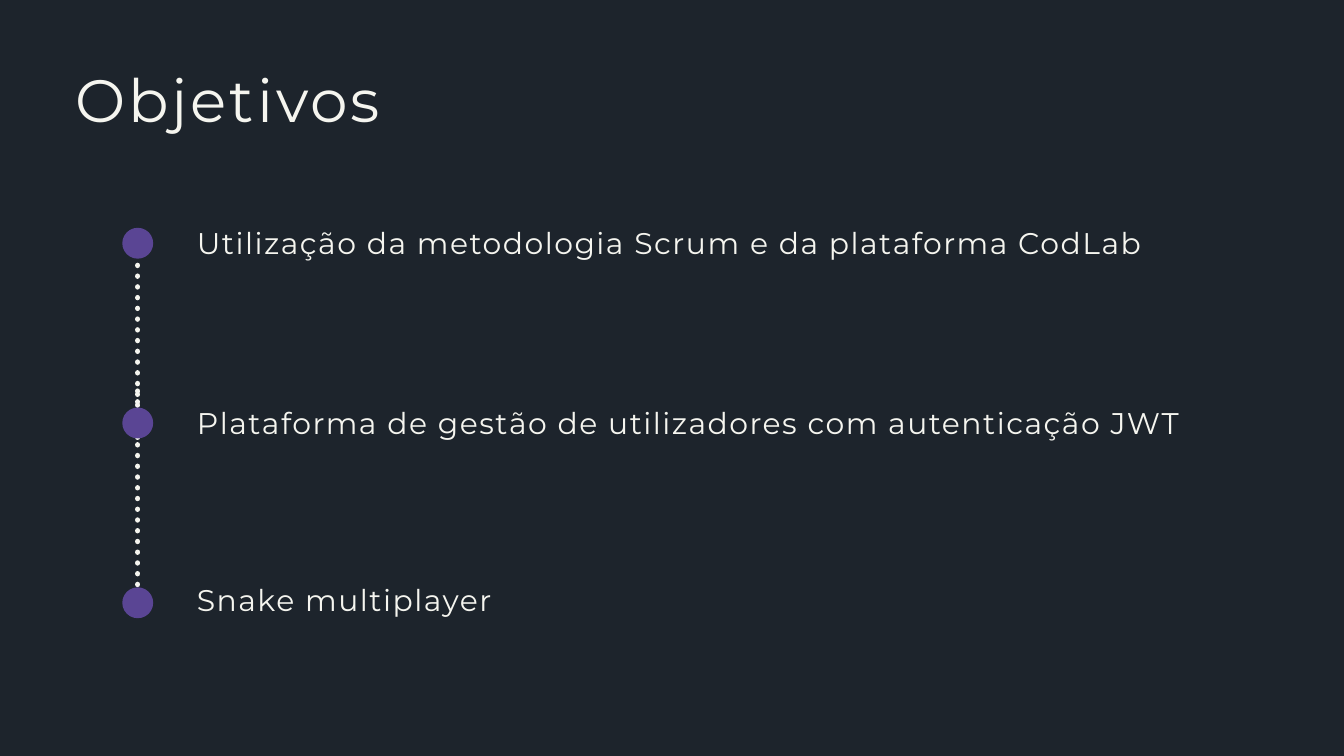
from dataclasses import dataclass

from lxml.etree import SubElement
from pptx import Presentation
from pptx.dml.color import RGBColor
from pptx.enum.dml import MSO_LINE
from pptx.enum.shapes import MSO_CONNECTOR, MSO_SHAPE
from pptx.enum.text import MSO_AUTO_SIZE
from pptx.oxml.ns import qn
from pptx.slide import Slide
from pptx.util import Inches, Pt

COLORS = {"background": "1D242C", "text": "F5F5EF", "node": "5A4594"}
FONT = "Montserrat"
AXIS_X = 2.05
NODE_SIZE = 0.46
FIRST_NODE_Y, NODE_PITCH = 3.39, 2.675
DOT_SIZE = 0.08
TEXT_X = 2.93


@dataclass
class Goal:
    text: str
    top: float
    width: float


@dataclass
class DottedLink:
    top: float
    bottom: float


GOALS = [
    Goal("Utilização da metodologia Scrum e da plataforma CodLab", 3.39, 14.57),
    Goal("Plataforma de gestão de utilizadores com autenticação JWT", 6.06, 14.81),
    Goal("Snake multiplayer", 8.69, 5.34),
]
LINKS = [DottedLink(3.47, 6.61), DottedLink(5.82, 8.96)]


def color(name: str) -> RGBColor:
    return RGBColor.from_string(COLORS[name])


def add_text(s: Slide, text: str, *, left: float, top: float, width: float,
             height: float, size: float, leading: float, spacing: float) -> None:
    """Add one line of text; leading and letter spacing are in points."""
    box = s.shapes.add_textbox(Inches(left), Inches(top), Inches(width), Inches(height))
    tf = box.text_frame
    tf.word_wrap = True
    tf.auto_size = MSO_AUTO_SIZE.SHAPE_TO_FIT_TEXT
    tf.margin_left = tf.margin_right = tf.margin_top = tf.margin_bottom = 0
    p = tf.paragraphs[0]
    p.line_spacing = Pt(leading)
    r = p.add_run()
    r.text = text
    r.font.name = FONT
    r.font.size = Pt(size)
    r.font.color.rgb = color("text")
    r.font._element.set("spc", str(round(spacing * 100)))


def add_link(s: Slide, link: DottedLink) -> None:
    """Draw a vertical row of round dots."""
    x = Inches(AXIS_X)
    line = s.shapes.add_connector(
        MSO_CONNECTOR.STRAIGHT, x, Inches(link.top), x, Inches(link.bottom))
    line.line.color.rgb = color("text")
    line.line.width = Inches(DOT_SIZE)
    line.line.dash_style = MSO_LINE.ROUND_DOT
    sp_pr = line._element.spPr
    sp_pr.find(qn("a:ln")).set("cap", "rnd")
    SubElement(sp_pr, qn("a:effectLst"))


def add_node(s: Slide, top: float) -> None:
    sp = s.shapes.add_shape(
        MSO_SHAPE.OVAL, Inches(AXIS_X - NODE_SIZE / 2), Inches(top),
        Inches(NODE_SIZE), Inches(NODE_SIZE))
    sp.shadow.inherit = False
    sp.fill.solid()
    sp.fill.fore_color.rgb = color("node")
    sp.line.fill.background()


def main() -> None:
    prs = Presentation()
    prs.slide_width, prs.slide_height = Inches(20), Inches(11.25)
    s = prs.slides.add_slide(prs.slide_layouts[6])
    s.background.fill.solid()
    s.background.fill.fore_color.rgb = color("background")

    add_text(s, "Objetivos", left=1.12, top=1.02, width=13.09, height=1.01,
             size=64, leading=71, spacing=3.2)
    for link in LINKS:
        add_link(s, link)
    for i, goal in enumerate(GOALS):
        add_node(s, FIRST_NODE_Y + i * NODE_PITCH)
        add_text(s, goal.text, left=TEXT_X, top=goal.top, width=goal.width,
                 height=0.5, size=32, leading=35.5, spacing=1.6)

    prs.save("out.pptx")


if __name__ == "__main__":
    main()
